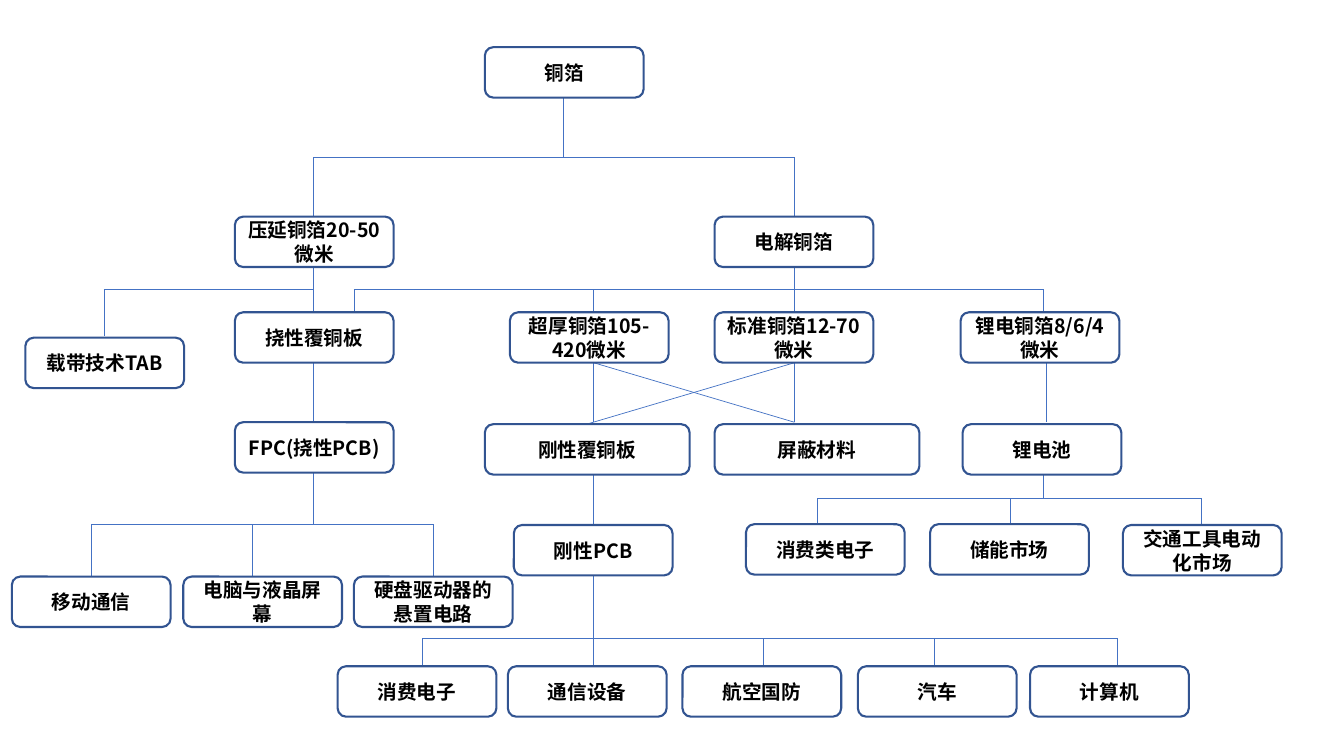
from dataclasses import dataclass

from lxml import etree
from pptx import Presentation
from pptx.dml.color import RGBColor
from pptx.enum.shapes import MSO_CONNECTOR, MSO_SHAPE
from pptx.enum.text import MSO_ANCHOR, PP_ALIGN
from pptx.oxml.ns import qn
from pptx.util import Cm, Pt

ROUND = MSO_SHAPE.ROUNDED_RECTANGLE
STRAIGHT = MSO_CONNECTOR.STRAIGHT
MIDDLE = MSO_ANCHOR.MIDDLE
CENTER = PP_ALIGN.CENTER


@dataclass
class Theme:
    face: str = "Noto Sans CJK SC"
    size: Pt = Pt(14)
    lead: Pt = Pt(17)
    ink: RGBColor = RGBColor(0, 0, 0)
    fill: RGBColor = RGBColor(0xFF, 0xFF, 0xFF)
    edge: RGBColor = RGBColor(0x32, 0x54, 0x91)
    link: RGBColor = RGBColor(0x44, 0x72, 0xC4)


theme = Theme()
deck = Presentation()
deck.slide_width, deck.slide_height = Cm(33.87), Cm(19.05)
slide = deck.slides.add_slide(deck.slide_layouts[6])


def draw_link(x1, y1, x2, y2):
    link = slide.shapes.add_connector(STRAIGHT, Cm(x1), Cm(y1), Cm(x2), Cm(y2))
    link.line.color.rgb = theme.link
    link.line.width = Pt(0.5)
    etree.SubElement(link._element.spPr, qn("a:effectLst"))


def draw_box(text, x, y, width):
    box = slide.shapes.add_shape(ROUND, Cm(x), Cm(y), Cm(width), Cm(1.27))
    box.shadow.inherit = False
    box.fill.solid()
    box.fill.fore_color.rgb = theme.fill
    box.line.color.rgb = theme.edge
    box.line.width = Pt(1.5)
    frame = box.text_frame
    frame.word_wrap = True
    frame.vertical_anchor = MIDDLE
    para = frame.paragraphs[0]
    para.text = text
    para.alignment = CENTER
    para.line_spacing = theme.lead
    font = para.font
    font.name, font.size, font.bold = theme.face, theme.size, True
    font.color.rgb = theme.ink
    # East Asian text takes its face from its own element
    props = para._p.find(".//" + qn("a:defRPr"))
    etree.SubElement(props, qn("a:ea"), typeface=theme.face)


# Forks: stem x, stem top, bar y, foot y, x of each drop
forks = [
    (14.2, 2.46, 3.96, 5.46, [7.9, 20.02]),
    (7.9, 6.71, 7.29, 8.46, [2.62]),
    (7.9, 11.89, 13.21, 14.53, [2.31, 6.35, 10.92]),
    (20.02, 6.71, 7.29, 7.87, [8.92, 14.96, 20.02, 26.29]),
    (14.96, 14.5, 16.08, 16.79, [10.64, 14.96, 19.23, 23.55, 28.17]),
    (26.29, 11.96, 12.57, 13.21, [20.6, 25.45, 30.28]),
]
for stem, top, bar, foot, drops in forks:
    draw_link(stem, top, stem, bar)
    draw_link(min(drops), bar, max(stem, *drops), bar)
    for drop in drops:
        draw_link(drop, bar, drop, foot)

# Single links: x and y of both ends
links = [
    (7.9, 7.29, 7.9, 7.87),
    (7.9, 9.14, 7.9, 10.64),
    (14.96, 9.14, 14.96, 10.64),
    (20.02, 9.14, 20.02, 10.64),
    (26.37, 9.14, 26.37, 10.64),
    (20.02, 9.14, 14.78, 10.69),
    (14.96, 9.14, 20.02, 10.64),
    (14.96, 11.96, 14.96, 13.21),
]
for ends in links:
    draw_link(*ends)

# Boxes by row: top, width, then x and text of each
rows = [
    (1.19, 4, [(12.22, "铜箔")]),
    (5.46, 4, [(5.92, "压延铜箔20-50微米"), (18.01, "电解铜箔")]),
    (7.87, 4, [(5.92, "挠性覆铜板"), (12.85, "超厚铜箔105-420微米"),
               (18.01, "标准铜箔12-70微米"), (24.21, "锂电铜箔8/6/4微米")]),
    (8.51, 4, [(0.64, "载带技术TAB")]),
    (10.64, 4, [(5.92, "FPC(挠性PCB)")]),
    (10.69, 5.16, [(12.22, "刚性覆铜板"), (18.01, "屏蔽材料")]),
    (10.69, 4, [(24.26, "锂电池")]),
    (13.21, 4, [(18.8, "消费类电子"), (23.44, "储能市场")]),
    (13.23, 4, [(12.95, "刚性PCB"), (28.3, "交通工具电动化市场")]),
    (14.53, 4, [(0.3, "移动通信"), (4.62, "电脑与液晶屏幕"),
                (8.92, "硬盘驱动器的悬置电路")]),
    (16.79, 4, [(8.51, "消费电子"), (12.8, "通信设备"), (17.2, "航空国防"),
                (21.62, "汽车"), (25.96, "计算机")]),
]
for top, width, row in rows:
    for left, text in row:
        draw_box(text, left, top, width)

deck.save("out.pptx")
